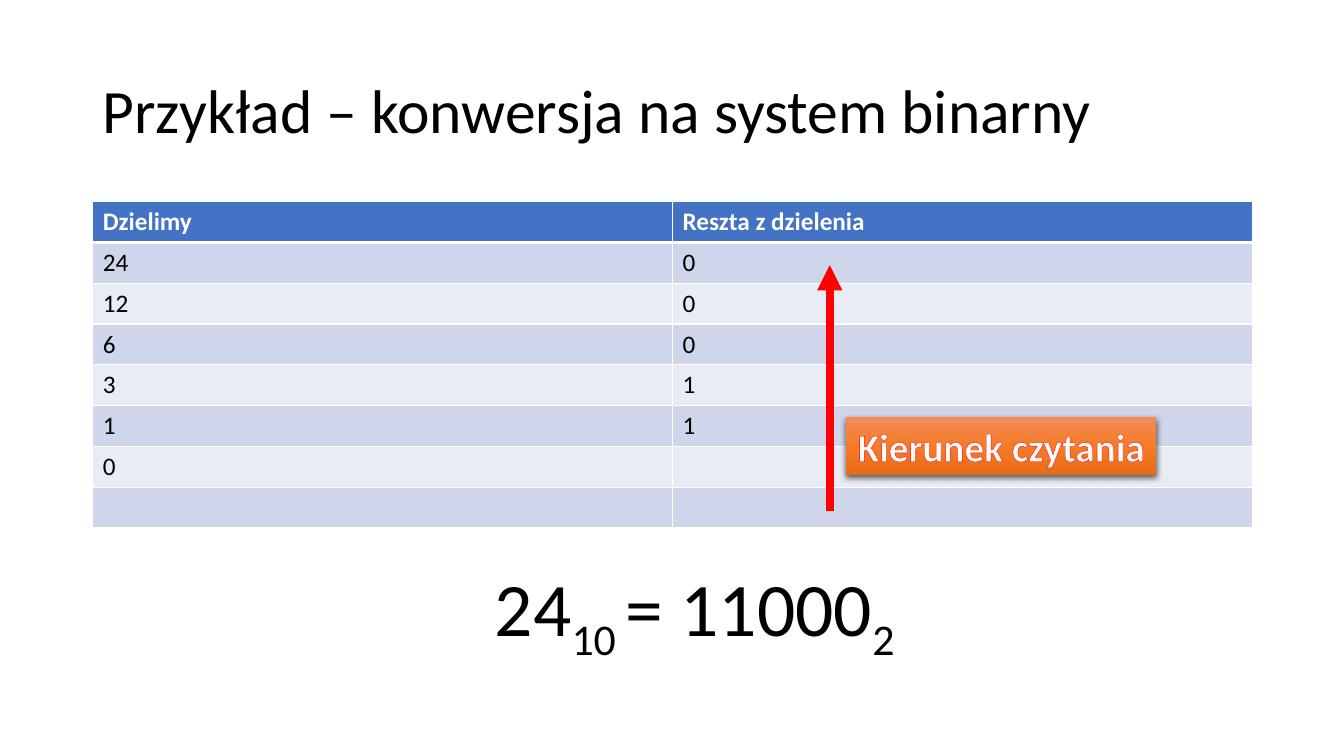
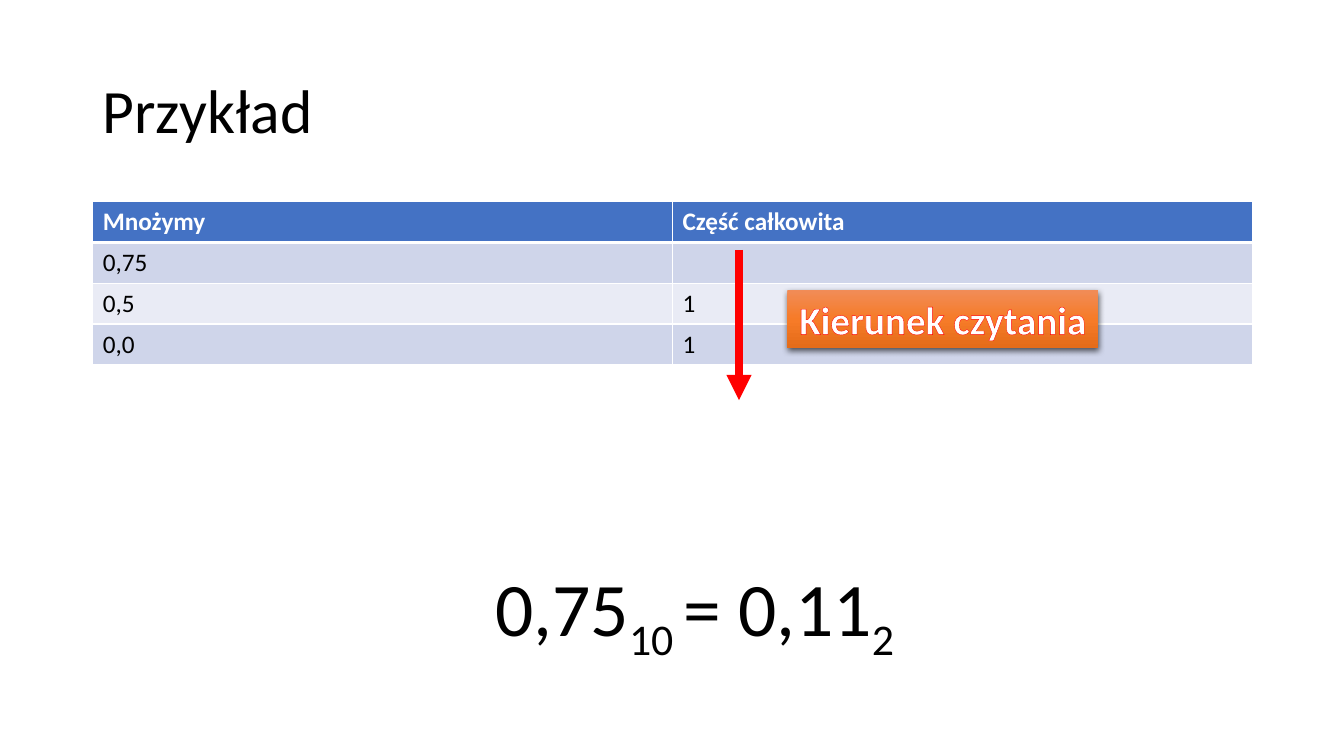
from pptx import Presentation
from pptx.dml.color import RGBColor
from pptx.enum.shapes import MSO_CONNECTOR, MSO_SHAPE
from pptx.enum.text import MSO_ANCHOR, MSO_AUTO_SIZE, PP_ALIGN
from pptx.oxml import parse_xml
from pptx.oxml.ns import nsdecls
from pptx.util import Inches, Pt

STRAIGHT = MSO_CONNECTOR.STRAIGHT
RECTANGLE = MSO_SHAPE.RECTANGLE
MIDDLE = MSO_ANCHOR.MIDDLE
GROW = MSO_AUTO_SIZE.SHAPE_TO_FIT_TEXT
CENTER = PP_ALIGN.CENTER

FONT = "Calibri"
BLACK, WHITE, RED = "000000", "FFFFFF", "FF0000"
HEADER, BANDS = "4472C4", ("CFD5EA", "E9EBF5")
LABEL_STOPS = ((0, "F18C57"), (50, "F67B28"), (100, "E56C19"))

LEFT, WIDTH = 0.92, 11.5
TABLE_TOP, ROW_HEIGHT = 2, 0.405


def rgb(value):
    return RGBColor.from_string(value)


def xml(tag, attrs="", inner=""):
    """Build a DrawingML element."""
    return parse_xml(f'<a:{tag} {nsdecls("a")} {attrs}>{inner}</a:{tag}>')


def solid(color):
    return f'<a:solidFill><a:srgbClr val="{color}"/></a:solidFill>'


def style_run(r, size, color=BLACK, bold=False):
    r.font.name = FONT
    r.font.size = Pt(size)
    r.font.bold = bold
    r.font.color.rgb = rgb(color)


def add_title(s, text):
    box = s.shapes.add_textbox(Inches(LEFT), Inches(0.4), Inches(WIDTH), Inches(1.45))
    tf = box.text_frame
    tf.word_wrap = True
    tf.vertical_anchor = MIDDLE
    tf.text = text
    p = tf.paragraphs[0]
    p.line_spacing = 0.9
    style_run(p.runs[0], 44)


def set_borders(cell, top, bottom):
    """Draw white borders; top and bottom are widths in points."""
    tcPr = cell._tc.get_or_add_tcPr()
    widths = (("lnL", 1), ("lnR", 1), ("lnT", top), ("lnB", bottom))
    for i, (tag, width) in enumerate(widths):
        tcPr.insert(i, xml(tag, f'w="{Pt(width)}"', solid(WHITE)))


def add_steps_table(s, rows):
    frame = s.shapes.add_table(len(rows), 2, Inches(LEFT), Inches(TABLE_TOP),
                               Inches(WIDTH), Inches(ROW_HEIGHT * len(rows)))
    table = frame.table
    for i, row in enumerate(rows):
        is_header = i == 0
        for j, text in enumerate(row):
            cell = table.cell(i, j)
            cell.text = text
            cell.fill.solid()
            cell.fill.fore_color.rgb = rgb(HEADER if is_header else BANDS[(i - 1) % 2])
            set_borders(cell, 3 if i == 1 else 1, 3 if is_header else 1)
            for r in cell.text_frame.paragraphs[0].runs:
                style_run(r, 18, WHITE if is_header else BLACK, is_header)


def add_arrow(s, x, start, end):
    arrow = s.shapes.add_connector(STRAIGHT, Inches(x), Inches(start), Inches(x), Inches(end))
    arrow.line.color.rgb = rgb(RED)
    arrow.line.width = Pt(6)
    arrow.line._get_or_add_ln().append(xml("tailEnd", 'type="triangle"'))
    arrow._element.spPr.append(xml("effectLst"))


def add_direction_label(s, left, top):
    label = s.shapes.add_shape(RECTANGLE, Inches(left), Inches(top), Inches(3.08), Inches(0.57))
    label.line.fill.background()
    label.shadow.inherit = False
    spPr = label._element.spPr
    stops = "".join(f'<a:gs pos="{pos * 1000}"><a:srgbClr val="{color}"/></a:gs>'
                    for pos, color in LABEL_STOPS)
    spPr.insert(2, xml("gradFill", 'rotWithShape="1"',
                       f'<a:gsLst>{stops}</a:gsLst><a:lin ang="5400000" scaled="0"/>'))
    spPr[-1].append(xml(
        "outerShdw",
        f'blurRad="{Pt(4.5)}" dist="{Pt(1.5)}" dir="5400000" algn="ctr" rotWithShape="0"',
        f'<a:srgbClr val="{BLACK}"><a:alpha val="63000"/></a:srgbClr>'))
    tf = label.text_frame
    tf.word_wrap = False
    tf.auto_size = GROW
    tf.text = "Kierunek czytania"
    p = tf.paragraphs[0]
    p.alignment = CENTER
    r = p.runs[0]
    style_run(r, 28, WHITE, True)
    r._r.get_or_add_rPr().insert(0, xml("ln", f'w="{Pt(0.52)}"', solid(RED)))


def add_result(s, decimal, binary):
    """Write the equation with the number bases as subscripts."""
    box = s.shapes.add_textbox(Inches(4.73), Inches(5.52), Inches(4.32), Inches(1.01))
    tf = box.text_frame
    tf.word_wrap = False
    tf.auto_size = GROW
    p = tf.paragraphs[0]
    p.alignment = CENTER
    parts = ((decimal, False), ("10 ", True), (f"= {binary}", False), ("2", True))
    for text, is_base in parts:
        r = p.add_run()
        r.text = text
        style_run(r, 54)
        if is_base:
            r._r.get_or_add_rPr().set("baseline", "-25000")


def add_example(prs, title, rows, arrow, label, result):
    s = prs.slides.add_slide(prs.slide_layouts[6])
    add_title(s, title)
    add_steps_table(s, rows)
    add_arrow(s, *arrow)
    add_direction_label(s, *label)
    add_result(s, *result)


def main():
    prs = Presentation()
    prs.slide_width, prs.slide_height = Inches(13.33), Inches(7.5)
    add_example(
        prs, "Przykład – konwersja na system binarny",
        [("Dzielimy", "Reszta z dzielenia"), ("24", "0"), ("12", "0"), ("6", "0"),
         ("3", "1"), ("1", "1"), ("0", ""), ("", "")],
        arrow=(8.23, 5.07, 2.63), label=(8.39, 4.14), result=("24", "11000"))
    add_example(
        prs, "Przykład",
        [("Mnożymy", "Część całkowita"), ("0,75", ""), ("0,5", "1"), ("0,0", "1")],
        arrow=(7.33, 2.48, 3.97), label=(7.81, 2.88), result=("0,75", "0,11"))
    prs.save("out.pptx")


if __name__ == "__main__":
    main()
